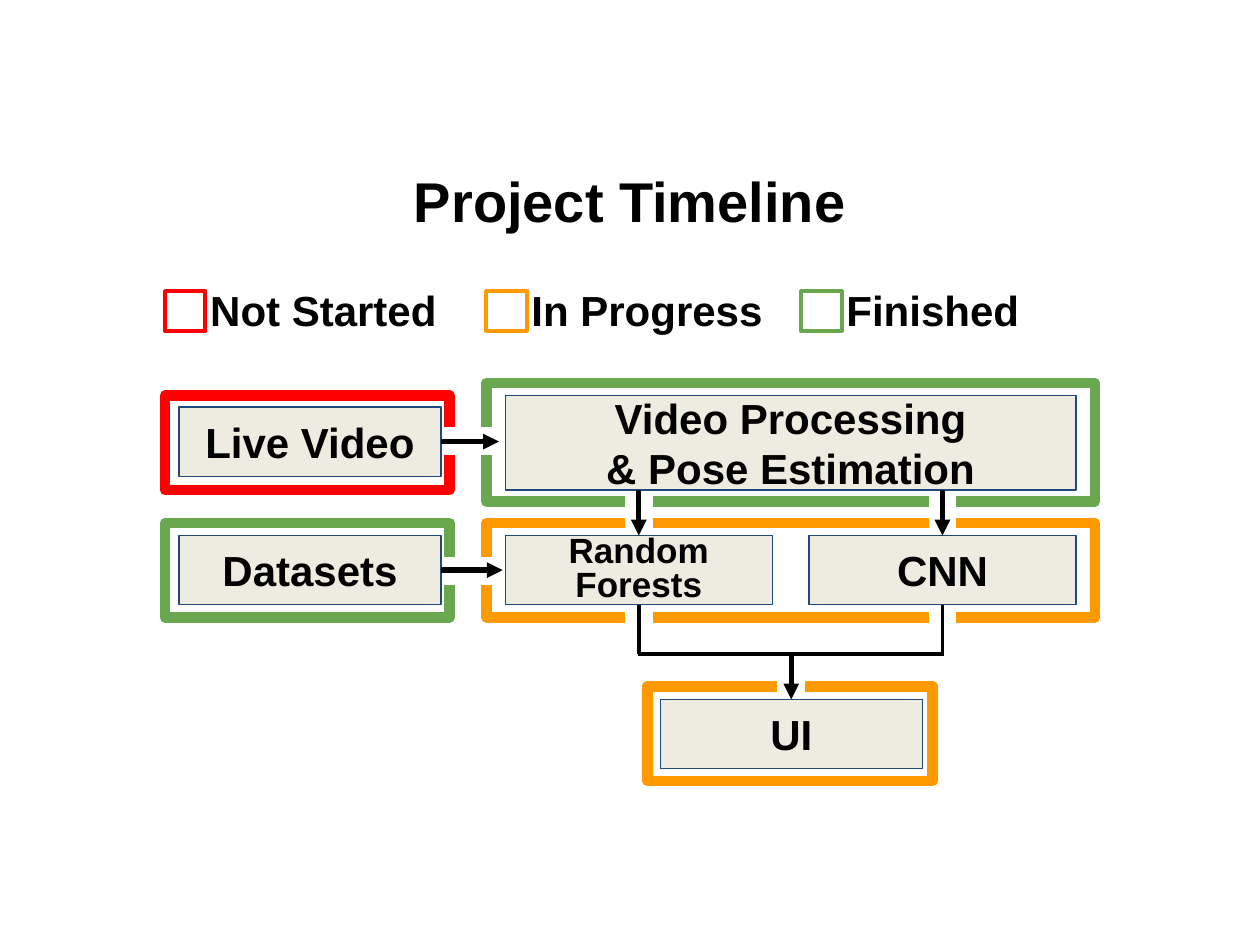
"""Build the Project Timeline slide: a status legend above a framed flowchart."""
import pptx
import pptx.dml.color
import pptx.enum.shapes
import pptx.enum.text
import pptx.oxml
import pptx.oxml.ns
import pptx.util

Inches, Pt = pptx.util.Inches, pptx.util.Pt
ALIGN, ANCHOR = pptx.enum.text.PP_ALIGN, pptx.enum.text.MSO_ANCHOR
RECTANGLE = pptx.enum.shapes.MSO_SHAPE.RECTANGLE
STRAIGHT = pptx.enum.shapes.MSO_CONNECTOR.STRAIGHT
TOP, BOTTOM, RIGHT = 0, 2, 3

TITLE = "Project Timeline"
STATUS = {"Not Started": "FF0000", "In Progress": "FF9900", "Finished": "6AA84F"}
LEGEND_LEFTS = (1.31, 3.86, 6.36)
FRAMES = [
    ("Finished", (3.86, 3.04, 4.83, 0.94)),
    ("In Progress", (5.14, 5.45, 2.26, 0.75)),
    ("Not Started", (1.31, 3.14, 2.26, 0.75)),
    ("Finished", (1.31, 4.15, 2.26, 0.75)),
    ("In Progress", (3.86, 4.15, 4.83, 0.75)),
]
STEPS = {
    "Live Video": (1.42, 3.23, 2.08, 0.55),
    "Datasets": (1.42, 4.25, 2.08, 0.55),
    "Video Processing\n& Pose Estimation": (4.01, 3.14, 4.53, 0.75),
    "Random Forests": (4.01, 4.25, 2.12, 0.55),
    "CNN": (6.42, 4.25, 2.12, 0.55),
    "UI": (5.24, 5.55, 2.08, 0.55),
}
FOREST_X, CNN_X, UI_X = 5.07, 7.48, 6.28
LIVE_Y, DATA_Y, JUNCTION_Y = 3.5, 4.53, 5.19
GAP = 0.21
GAPS = [(x - GAP / 2, y, GAP, 0.39) for x in (FOREST_X, CNN_X) for y in (3.85, 4.76)] + [
    (UI_X - GAP / 2, 5.17, GAP, 0.5),
    (3.42, LIVE_Y - GAP / 2, 0.5, GAP),
    (3.46, DATA_Y - GAP / 2, 0.5, GAP),
]


def color(value):
    return pptx.dml.color.RGBColor.from_string(value)


def style_text(frame, text, size, align, spacing=None):
    frame.text = text
    frame.word_wrap = True
    for paragraph in frame.paragraphs:
        paragraph.alignment = align
        paragraph.line_spacing = spacing
        paragraph.font.name = "Arial"
        paragraph.font.size = Pt(size)
        paragraph.font.bold = True
        paragraph.font.color.rgb = color("000000")


def set_margins(frame):
    frame.margin_left = frame.margin_right = Inches(0.1)
    frame.margin_top = frame.margin_bottom = Inches(0.1)


def add_rectangle(slide, box, line, width, fill=None):
    rectangle = slide.shapes.add_shape(RECTANGLE, *map(Inches, box))
    rectangle.shadow.inherit = False
    if fill:
        rectangle.fill.solid()
        rectangle.fill.fore_color.rgb = color(fill)
    else:
        rectangle.fill.background()
    rectangle.line.color.rgb = color(line)
    rectangle.line.width = Pt(width)
    return rectangle


def add_line(slide, start, end, width=2.25, arrow=False):
    connector = slide.shapes.add_connector(STRAIGHT, *map(Inches, start + end))
    connector.line.color.rgb = color("000000")
    connector.line.width = Pt(width)
    if arrow:
        tail = pptx.oxml.parse_xml(f'<a:tailEnd {pptx.oxml.ns.nsdecls("a")} type="triangle"/>')
        connector.line._get_or_add_ln().append(tail)
    effects = pptx.oxml.parse_xml(f'<a:effectLst {pptx.oxml.ns.nsdecls("a")}/>')
    connector._element.spPr.append(effects)
    return connector


def add_legend(slide):
    for (label, tint), left in zip(STATUS.items(), LEGEND_LEFTS):
        add_rectangle(slide, (left, 2.31, 0.32, 0.32), tint, 2.25)
        caption = slide.shapes.add_textbox(*map(Inches, (left + 0.26, 2.16, 2.57, 0.61)))
        set_margins(caption.text_frame)
        style_text(caption.text_frame, label, 24, ALIGN.LEFT)


def add_steps(slide):
    steps = {}
    for name, box in STEPS.items():
        step = add_rectangle(slide, box, "1F497D", 0.75, "EEECE1")
        set_margins(step.text_frame)
        step.text_frame.vertical_anchor = ANCHOR.MIDDLE
        size, spacing = (20, 0.8) if name == "Random Forests" else (24, None)
        style_text(step.text_frame, name, size, ALIGN.CENTER, spacing)
        steps[name] = step
    return steps


def add_flow(slide, steps):
    for name, y, end_x in (("Live Video", LIVE_Y, 3.96), ("Datasets", DATA_Y, 3.99)):
        arrow = add_line(slide, (3.5, y), (end_x, y), 3, True)
        arrow.begin_connect(steps[name], RIGHT)
        arrow.end_y = arrow.begin_y
    for name, x in (("Random Forests", FOREST_X), ("CNN", CNN_X)):
        arrow = add_line(slide, (x, 3.89), (x, 4.25), 3, True)
        arrow.end_connect(steps[name], TOP)
        branch = add_line(slide, (x, 4.8), (x, JUNCTION_Y))
        branch.begin_connect(steps[name], BOTTOM)
    add_line(slide, (FOREST_X - 0.01, JUNCTION_Y), (CNN_X + 0.01, JUNCTION_Y))
    arrow = add_line(slide, (UI_X, JUNCTION_Y), (UI_X, 5.55), 3, True)
    arrow.end_connect(steps["UI"], TOP)


def main():
    deck = pptx.Presentation()
    deck.slide_width, deck.slide_height = Inches(10), Inches(7.5)
    slide = deck.slides.add_slide(deck.slide_layouts[5])
    title = slide.shapes.title
    title.left, title.top, title.width, title.height = map(Inches, (0.5, 1.15, 9, 0.88))
    title.text_frame.vertical_anchor = ANCHOR.MIDDLE
    style_text(title.text_frame, TITLE, 32, ALIGN.CENTER)
    add_legend(slide)
    for status, box in FRAMES:
        add_rectangle(slide, box, STATUS[status], 6)
    for box in GAPS:
        add_rectangle(slide, box, "FFFFFF", 0.75, "FFFFFF")
    add_flow(slide, add_steps(slide))
    deck.save("out.pptx")


if __name__ == "__main__":
    main()
